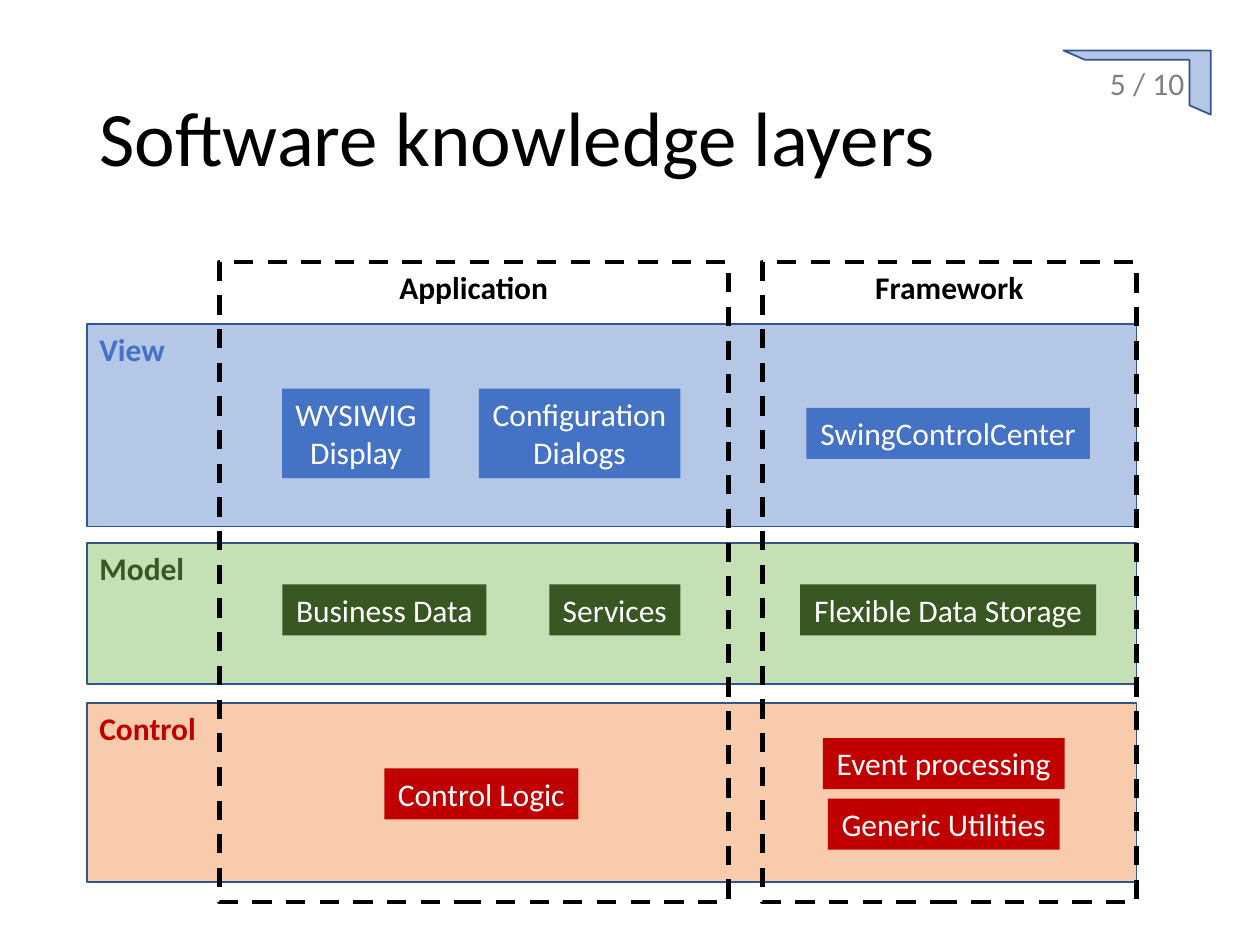
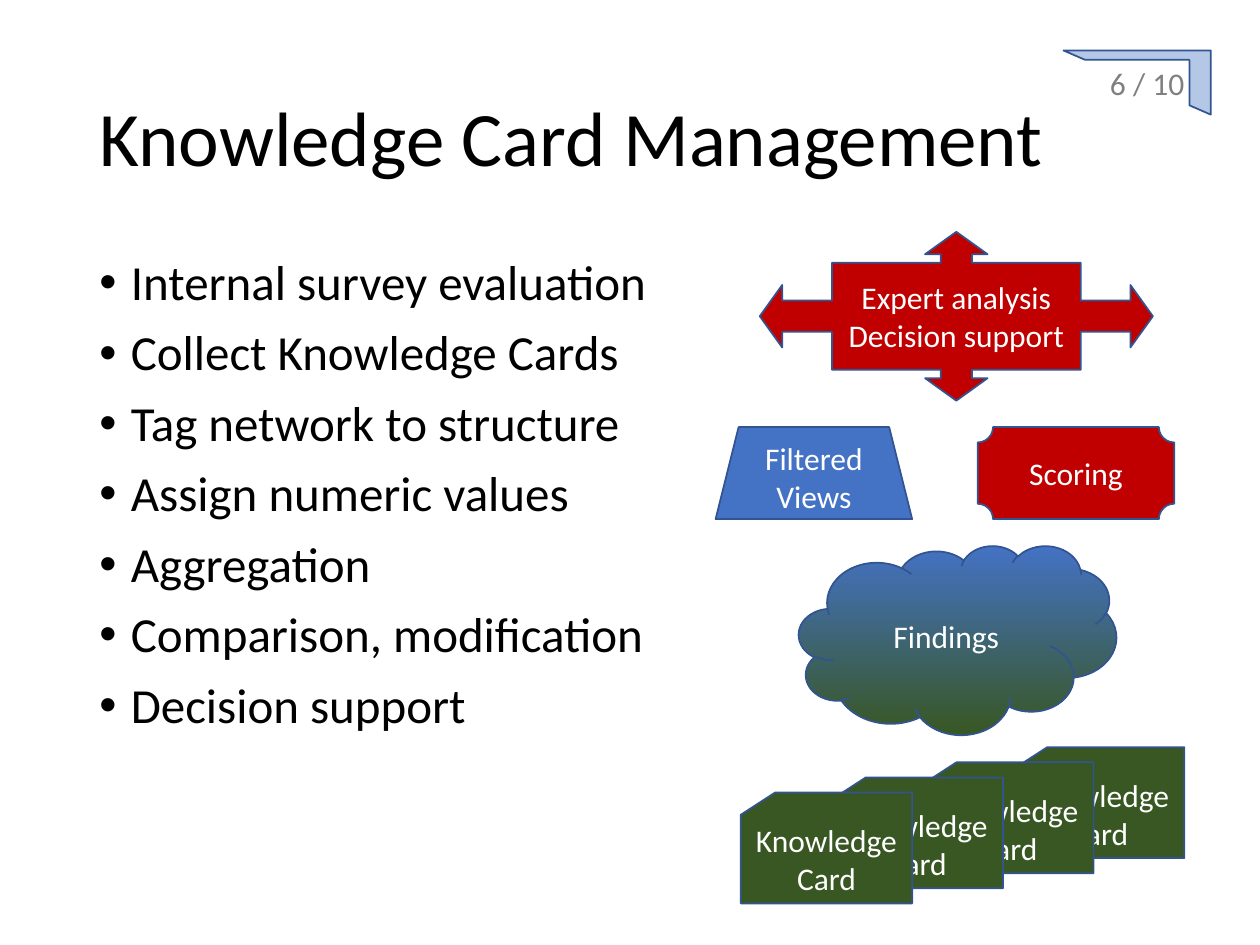
"""Build two slides: software knowledge layers and knowledge card management."""
import pptx
import pptx.util
import pptx.dml.color
import pptx.enum.dml
import pptx.enum.shapes
import pptx.enum.text
import pptx.oxml.ns
from lxml import etree

Inches, Pt = pptx.util.Inches, pptx.util.Pt
SHAPE = pptx.enum.shapes.MSO_SHAPE
ALIGN = pptx.enum.text.PP_ALIGN
ANCHOR = pptx.enum.text.MSO_ANCHOR
AUTO_SIZE = pptx.enum.text.MSO_AUTO_SIZE

FONT = "Calibri"
COLORS = {
    "black": "000000", "white": "FFFFFF", "grey": "808080", "outline": "325491",
    "blue": "4472C4", "green": "385723", "red": "C00000",
    "pale_blue": "B4C7E7", "pale_green": "C5E0B4", "pale_orange": "F8CBAD",
}
PAGE_COUNT = 10

LAYERS_TITLE = "Software knowledge layers"
LAYER_LEFT, LAYER_WIDTH = 0.69, 8.33
LAYERS = [
    {"name": "Control", "top": 5.58, "height": 1.42, "band": "pale_orange", "color": "red",
     "chips": [("Control Logic", 3.05, 6.3, 1.54),
               ("Generic Utilities", 6.57, 6.54, 1.84),
               ("Event processing", 6.53, 6.06, 1.92)]},
    {"name": "Model", "top": 4.31, "height": 1.12, "band": "pale_green", "color": "green",
     "chips": [("Business Data", 2.24, 4.84, 1.62),
               ("Services", 4.36, 4.84, 1.04),
               ("Flexible Data Storage", 6.35, 4.84, 2.35)]},
    {"name": "View", "top": 2.57, "height": 1.61, "band": "pale_blue", "color": "blue",
     "chips": [("WYSIWIG\vDisplay", 2.24, 3.44, 1.17),
               ("Configuration\vDialogs", 3.8, 3.44, 1.6),
               ("SwingControlCenter", 6.4, 3.44, 2.25)]},
]
SCOPES = [("Application", 1.74, 4.04), ("Framework", 6.05, 2.97)]
SCOPE_TOP, SCOPE_HEIGHT = 2.08, 5.08

CARDS_TITLE = "Knowledge Card Management"
ACTIVITIES = [
    "Internal survey evaluation", "Collect Knowledge Cards", "Tag network to structure",
    "Assign numeric values", "Aggregation", "Comparison, modification", "Decision support",
]
CARD_COUNT = 4
CARD_FRONT, CARD_SIZE, CARD_STEP = (5.88, 6.29), (1.36, 0.88), (0.72, -0.12)
STAGES = [
    (SHAPE.CLOUD, "Findings", (6.34, 4.33, 2.52, 1.5), "blue", ()),
    (SHAPE.TRAPEZOID, "Filtered\nViews", (5.68, 3.39, 1.56, 0.73), "blue", ()),
    (SHAPE.PLAQUE, "Scoring", (7.76, 3.39, 1.56, 0.73), "red", ()),
    (SHAPE.QUAD_ARROW_CALLOUT, "Expert analysis\nDecision support",
     (6.03, 1.84, 3.12, 1.34), "red", (0.185, 0.185, 0.133, 0.633)),
]


def rgb(name):
    return pptx.dml.color.RGBColor.from_string(COLORS[name])


def write(frame, text, color, size=18, bold=False, align=ALIGN.CENTER, anchor=ANCHOR.MIDDLE):
    frame.text = text
    frame.vertical_anchor = anchor
    for paragraph in frame.paragraphs:
        paragraph.alignment = align
        for run in paragraph.runs:
            run.font.name, run.font.size, run.font.bold = FONT, Pt(size), bold
            run.font.color.rgb = rgb(color)


def add_box(slide, kind, place, fill=None, line="outline", line_width=1, adjustments=()):
    box = slide.shapes.add_shape(kind, *map(Inches, place))
    box.shadow.inherit = False
    for index, value in enumerate(adjustments):
        box.adjustments[index] = value
    if fill:
        box.fill.solid()
        box.fill.fore_color.rgb = rgb(fill)
    else:
        box.fill.background()
    if line:
        box.line.color.rgb = rgb(line)
        box.line.width = Pt(line_width)
    else:
        box.line.fill.background()
    box.text_frame.word_wrap = True
    return box


def add_titled_slide(deck, title):
    slide = deck.slides.add_slide(deck.slide_layouts[5])
    heading = slide.shapes.title
    heading.left, heading.top, heading.width, heading.height = map(Inches, (0.69, 0.4, 8.62, 1.45))
    write(heading.text_frame, title, "black", 44, align=ALIGN.LEFT)
    heading.text_frame.auto_size = AUTO_SIZE.NONE
    heading.text_frame.paragraphs[0].line_spacing = 0.9
    return slide


def add_page_corner(slide, number):
    corner = add_box(slide, SHAPE.HALF_FRAME, (8.44, 0.4, 1.17, 0.51), "pale_blue",
                     adjustments=(0.147, 0.333))
    corner._element.spPr.find(pptx.oxml.ns.qn("a:xfrm")).set("flipH", "1")
    corner.text_frame.margin_right = Inches(0.21)
    write(corner.text_frame, f"{number} / {PAGE_COUNT}", "grey", align=ALIGN.RIGHT)


def add_chip(slide, label, left, middle, width, color):
    height = 0.1 + 0.305 * len(label.split("\v"))
    chip = add_box(slide, SHAPE.RECTANGLE, (left, middle - height / 2, width, height), color, None)
    write(chip.text_frame, label, "white", anchor=ANCHOR.TOP)
    chip.text_frame.word_wrap = False
    chip.text_frame.auto_size = AUTO_SIZE.SHAPE_TO_FIT_TEXT


def build_layers(deck):
    slide = add_titled_slide(deck, LAYERS_TITLE)
    for layer in LAYERS:
        band = add_box(slide, SHAPE.RECTANGLE,
                       (LAYER_LEFT, layer["top"], LAYER_WIDTH, layer["height"]), layer["band"])
        write(band.text_frame, layer["name"], layer["color"], bold=True,
              align=ALIGN.LEFT, anchor=ANCHOR.TOP)
    for layer in LAYERS:
        for chip in layer["chips"]:
            add_chip(slide, *chip, layer["color"])
    for name, left, width in SCOPES:
        scope = add_box(slide, SHAPE.RECTANGLE, (left, SCOPE_TOP, width, SCOPE_HEIGHT),
                        line="black", line_width=2.75)
        scope.line.dash_style = pptx.enum.dml.MSO_LINE.DASH
        write(scope.text_frame, name, "black", bold=True, anchor=ANCHOR.TOP)
    add_page_corner(slide, 5)


def add_activities(slide):
    activities = slide.shapes.add_textbox(*map(Inches, (0.69, 2, 4.55, 4.76))).text_frame
    activities.word_wrap = True
    write(activities, "\n".join(ACTIVITIES), "black", 28, align=ALIGN.LEFT, anchor=ANCHOR.TOP)
    for paragraph in activities.paragraphs:
        paragraph.line_spacing = 0.9
        paragraph.space_before = Pt(10)
        properties = paragraph._p.get_or_add_pPr()
        properties.set("marL", str(Inches(0.25)))
        properties.set("indent", str(-Inches(0.25)))
        for tag, attribute, value in (("a:buFont", "typeface", "Arial"), ("a:buChar", "char", "•")):
            etree.SubElement(properties, pptx.oxml.ns.qn(tag)).set(attribute, value)


def shade_findings(cloud):
    cloud.fill.gradient()
    cloud.fill.gradient_angle = 270
    for stop, color, position in zip(cloud.fill.gradient_stops, ("blue", "green"), (0, 1)):
        stop.color.rgb = rgb(color)
        stop.position = position


def build_cards(deck):
    slide = add_titled_slide(deck, CARDS_TITLE)
    add_activities(slide)
    for depth in reversed(range(CARD_COUNT)):
        corner = [start + depth * step for start, step in zip(CARD_FRONT, CARD_STEP)]
        card = add_box(slide, SHAPE.FLOWCHART_CARD, (*corner, *CARD_SIZE), "green")
        write(card.text_frame, "Knowledge Card", "white")
    for kind, label, place, color, adjustments in STAGES:
        stage = add_box(slide, kind, place, color, adjustments=adjustments)
        write(stage.text_frame, label, "white")
        if kind == SHAPE.CLOUD:
            shade_findings(stage)
    add_page_corner(slide, 6)


def main():
    deck = pptx.Presentation()
    deck.slide_width, deck.slide_height = Inches(10), Inches(7.5)
    build_layers(deck)
    build_cards(deck)
    deck.save("out.pptx")


if __name__ == "__main__":
    main()
